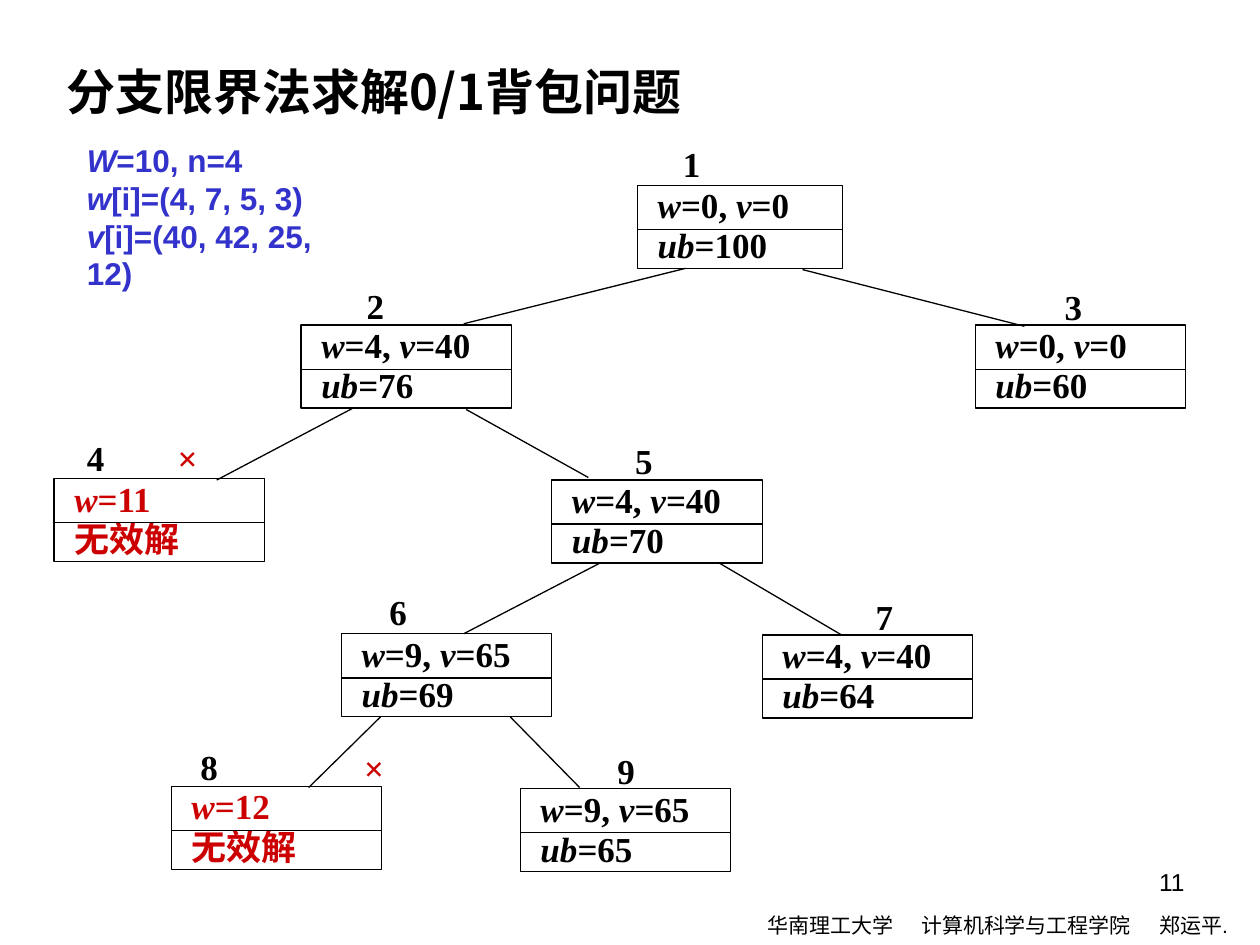
from lxml.etree import SubElement
from pptx import Presentation
from pptx.dml.color import RGBColor
from pptx.enum.shapes import MSO_CONNECTOR as Connector, MSO_SHAPE as Preset
from pptx.enum.text import MSO_ANCHOR as Anchor, PP_ALIGN as Align
from pptx.oxml.ns import qn
from pptx.util import Inches, Pt

BLACK, RED, BLUE = "000000", "CC0000", "3333CC"
CJK_FONT = "Noto Sans CJK SC"
NODE_WIDTH, NODE_HEIGHT, DIVIDER_OFFSET = 1.67, 0.66, 0.35
TREE_FORMAT = {"size": Pt(20), "name": "Times New Roman", "bold": True}
INVALID = "无效解"

NODES = [
    (5.06, 1.47, 1.63, "*w*=0, *v*=0", "*ub*=100", BLACK),
    (2.39, 2.58, NODE_WIDTH, "*w*=4, *v*=40", "*ub*=76", BLACK),
    (7.74, 2.58, NODE_WIDTH, "*w*=0, *v*=0", "*ub*=60", BLACK),
    (0.43, 3.8, NODE_WIDTH, "*w*=11", INVALID, RED),
    (4.38, 3.81, NODE_WIDTH, "*w*=4, *v*=40", "*ub*=70", BLACK),
    (2.71, 5.03, NODE_WIDTH, "*w*=9, *v*=65", "*ub*=69", BLACK),
    (6.05, 5.04, NODE_WIDTH, "*w*=4, *v*=40", "*ub*=64", BLACK),
    (1.36, 6.24, NODE_WIDTH, "*w*=12", INVALID, RED),
    (4.13, 6.26, NODE_WIDTH, "*w*=9, *v*=65", "*ub*=65", BLACK),
]
NUMBER_POSITIONS = [
    (5.26, 1.15), (2.75, 2.28), (8.29, 2.29), (0.53, 3.49), (4.88, 3.51),
    (2.93, 4.71), (6.79, 4.75), (1.43, 5.94), (4.74, 5.97),
]
CROSS_POSITIONS = [(1.25, 3.49), (2.73, 5.95)]
EDGES = [
    (5.44, 2.13, 3.68, 2.57), (6.37, 2.14, 8.13, 2.59),
    (2.8, 3.24, 1.72, 3.81), (3.7, 3.25, 4.67, 3.79),
    (4.76, 4.47, 3.68, 5.03), (5.71, 4.47, 6.68, 5.04),
    (3.02, 5.69, 2.45, 6.25), (4.05, 5.69, 4.6, 6.25),
]


def color(value):
    return RGBColor.from_string(value)


def set_attributes(target, values):
    for name, value in values.items():
        setattr(target, name, value)


def write_text(shape, lines, font_format, text_color, insets, paragraph_format=None):
    frame = shape.text_frame
    sides = ("margin_left", "margin_top", "margin_right", "margin_bottom")
    set_attributes(frame, dict(zip(sides, map(Inches, insets))))
    set_attributes(frame, {"word_wrap": True, "vertical_anchor": Anchor.TOP})
    for index, line in enumerate(lines):
        paragraph = frame.add_paragraph() if index else frame.paragraphs[0]
        set_attributes(paragraph, paragraph_format or {"alignment": Align.LEFT})
        for position, part in enumerate(line.split("*")):
            if not part:
                continue
            run = paragraph.add_run()
            run.text = part
            set_attributes(run.font, {**font_format, "italic": position % 2 == 1})
            run.font.color.rgb = color(text_color)
            SubElement(run.font._element, qn("a:ea"), typeface=CJK_FONT)


def add_text(slide, box, lines, font_format, text_color,
             insets=(0.1, 0.05, 0.1, 0.05), paragraph_format=None):
    shape = slide.shapes.add_textbox(*map(Inches, box))
    write_text(shape, lines, font_format, text_color, insets, paragraph_format)
    return shape


def add_line(slide, *ends):
    line = slide.shapes.add_connector(Connector.STRAIGHT, *map(Inches, ends))
    line.line.color.rgb = color(BLACK)
    line.line.width = Pt(0.75)
    SubElement(line._element.spPr, qn("a:effectLst"))


def add_node(slide, left, top, width, state, bound, text_color):
    node = slide.shapes.add_shape(
        Preset.RECTANGLE, *map(Inches, (left, top, width, NODE_HEIGHT)))
    node.shadow.inherit = False
    node.fill.background()
    node.line.color.rgb = color(BLACK)
    node.line.width = Pt(0.75)
    write_text(node, [state, bound], TREE_FORMAT, text_color, (0.16, 0.01, 0, 0),
               {"alignment": Align.JUSTIFY, "line_spacing": 0.96})
    divider = top + DIVIDER_OFFSET
    add_line(slide, left, divider, left + width, divider)


def add_label(slide, left, top, width, text, text_color):
    add_text(slide, (left, top, width, 0.27), [text], TREE_FORMAT, text_color,
             (0.16, 0, 0, 0), {"alignment": Align.JUSTIFY, "line_spacing": 0.96})


def add_footer(slide):
    footer = add_text(
        slide, (5.97, 7.19, 3.95, 0.3),
        ["华南理工大学\t计算机科学与工程学院\t郑运平."],
        {"size": Pt(12), "name": "Arial"}, BLACK, (0.12, 0.05, 0, 0.05))
    properties = footer.text_frame.paragraphs[0]._p.get_or_add_pPr()
    tabs = SubElement(properties, qn("a:tabLst"))
    for position in (1.22, 3.11):
        SubElement(tabs, qn("a:tab"), pos=str(Inches(position)), algn="l")


def main():
    presentation = Presentation()
    presentation.slide_width = Inches(10)
    presentation.slide_height = Inches(7.5)
    slide = presentation.slides.add_slide(presentation.slide_layouts[6])

    add_footer(slide)
    for node in NODES:
        add_node(slide, *node)
    for edge in EDGES:
        add_line(slide, *edge)
    for number, (left, top) in enumerate(NUMBER_POSITIONS, 1):
        add_label(slide, left, top, 0.21, str(number), BLACK)
    for left, top in CROSS_POSITIONS:
        add_label(slide, left, top, 0.29, "×", RED)

    add_text(slide, (0.43, 0.44, 5.75, 0.57), ["分支限界法求解0/1背包问题"],
             {"size": Pt(28), "name": CJK_FONT, "bold": True}, BLACK)
    add_text(slide, (0.59, 1.07, 2.41, 1),
             ["*W*=10, n=4", "*w*[i]=(4, 7, 5, 3)", "*v*[i]=(40, 42, 25, 12)"],
             {"size": Pt(18), "name": "Arial", "bold": True}, BLUE)
    add_text(slide, (7.17, 6.83, 2.33, 0.52), ["11"],
             {"size": Pt(14), "name": "Arial"}, BLACK,
             paragraph_format={"alignment": Align.RIGHT})
    presentation.save("out.pptx")


if __name__ == "__main__":
    main()
